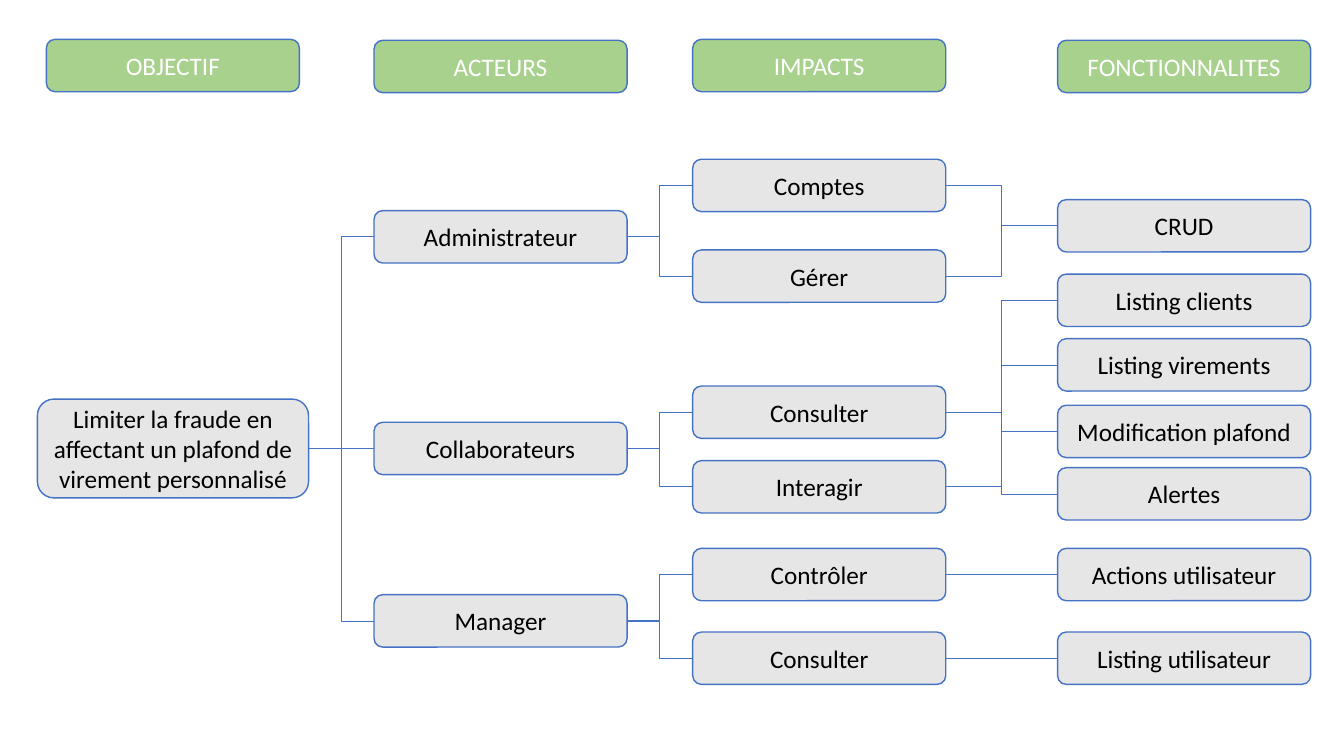
from dataclasses import dataclass

import pptx
import pptx.dml.color
import pptx.enum.shapes
import pptx.enum.text
import pptx.oxml.ns
import pptx.util
from lxml import etree

# All lengths are percentages of the slide's width or height.
COLS = (3.45, 27.83, 51.54, 78.69)
WIDTH, HEIGHT = 18.83, 6.93
BLUE, GREY, GREEN = "4472C4", "E7E6E6", "A9D18E"
LEFT, RIGHT = 1, 3  # connection sites of a rounded rectangle


@dataclass(frozen=True)
class Box:
    text: str
    left: float
    mid: float
    fill: str = GREY
    ink: str = "000000"
    width: float = WIDTH
    height: float = HEIGHT


HEADS = [
    Box(text, left, mid, GREEN, "FFFFFF")
    for text, left, mid in zip(
        ("OBJECTIF", "ACTEURS", "IMPACTS", "FONCTIONNALITES"),
        COLS, (8.67, 8.8, 8.67, 8.8))
]

goal = Box("Limiter la fraude en affectant un plafond de virement personnalisé",
           2.78, 59.33, width=20.18, height=13.07)

admin = Box("Administrateur", COLS[1], 31.33)
staff = Box("Collaborateurs", COLS[1], 59.33)
boss = Box("Manager", COLS[1], 82.13)

accounts = Box("Comptes", COLS[2], 24.53)
manage = Box("Gérer", COLS[2], 36.53)
consult = Box("Consulter", COLS[2], 54.53)
react = Box("Interagir", COLS[2], 64.4)
control = Box("Contrôler", COLS[2], 76)
review = Box("Consulter", COLS[2], 87.07)

crud = Box("CRUD", COLS[3], 29.87)
clients = Box("Listing clients", COLS[3], 39.73)
transfers = Box("Listing virements", COLS[3], 48.27)
ceiling = Box("Modification plafond", COLS[3], 57.07)
alerts = Box("Alertes", COLS[3], 65.33)
actions = Box("Actions utilisateur", COLS[3], 76)
users = Box("Listing utilisateur", COLS[3], 87.07)

LINKS = {
    goal: (admin, staff, boss),
    admin: (accounts, manage),
    staff: (consult, react),
    boss: (control, review),
    accounts: (crud,),
    manage: (crud,),
    consult: (clients, transfers, alerts),
    react: (ceiling,),
    control: (actions,),
    review: (users,),
}

deck = pptx.Presentation()
deck.slide_width = pptx.util.Inches(13.33)
deck.slide_height = pptx.util.Inches(7.5)
slide = deck.slides.add_slide(deck.slide_layouts[6])


def across(share: float) -> int:
    return round(deck.slide_width * share / 100)


def down(share: float) -> int:
    return round(deck.slide_height * share / 100)


def color(code: str) -> pptx.dml.color.RGBColor:
    return pptx.dml.color.RGBColor.from_string(code)


def draw_box(box: Box) -> pptx.shapes.autoshape.Shape:
    shape = slide.shapes.add_shape(
        pptx.enum.shapes.MSO_SHAPE.ROUNDED_RECTANGLE,
        across(box.left), down(box.mid - box.height / 2),
        across(box.width), down(box.height))
    shape.shadow.inherit = False
    shape.fill.solid()
    shape.fill.fore_color.rgb = color(box.fill)
    shape.line.color.rgb = color(BLUE)
    shape.line.width = pptx.util.Pt(1)
    frame = shape.text_frame
    frame.word_wrap = True
    frame.vertical_anchor = pptx.enum.text.MSO_ANCHOR.MIDDLE
    para = frame.paragraphs[0]
    para.text = box.text
    para.alignment = pptx.enum.text.PP_ALIGN.CENTER
    para.font.name = "Calibri"
    para.font.size = pptx.util.Pt(18)
    para.font.color.rgb = color(box.ink)
    return shape


def draw_link(start: Box, end: Box) -> None:
    """Join the right side of one box to the left side of the next."""
    link = slide.shapes.add_connector(
        pptx.enum.shapes.MSO_CONNECTOR.ELBOW,
        across(start.left + start.width), down(start.mid),
        across(end.left), down(end.mid))
    link.begin_connect(shapes[start], RIGHT)
    link.end_connect(shapes[end], LEFT)
    link.line.color.rgb = color(BLUE)
    link.line.width = pptx.util.Pt(0.5)
    etree.SubElement(link._element.spPr, pptx.oxml.ns.qn("a:effectLst"))


for head in HEADS:
    draw_box(head)

nodes = dict.fromkeys([*LINKS, *(end for ends in LINKS.values() for end in ends)])
shapes = {box: draw_box(box) for box in nodes}
for start, ends in LINKS.items():
    for end in ends:
        draw_link(start, end)

deck.save("out.pptx")
